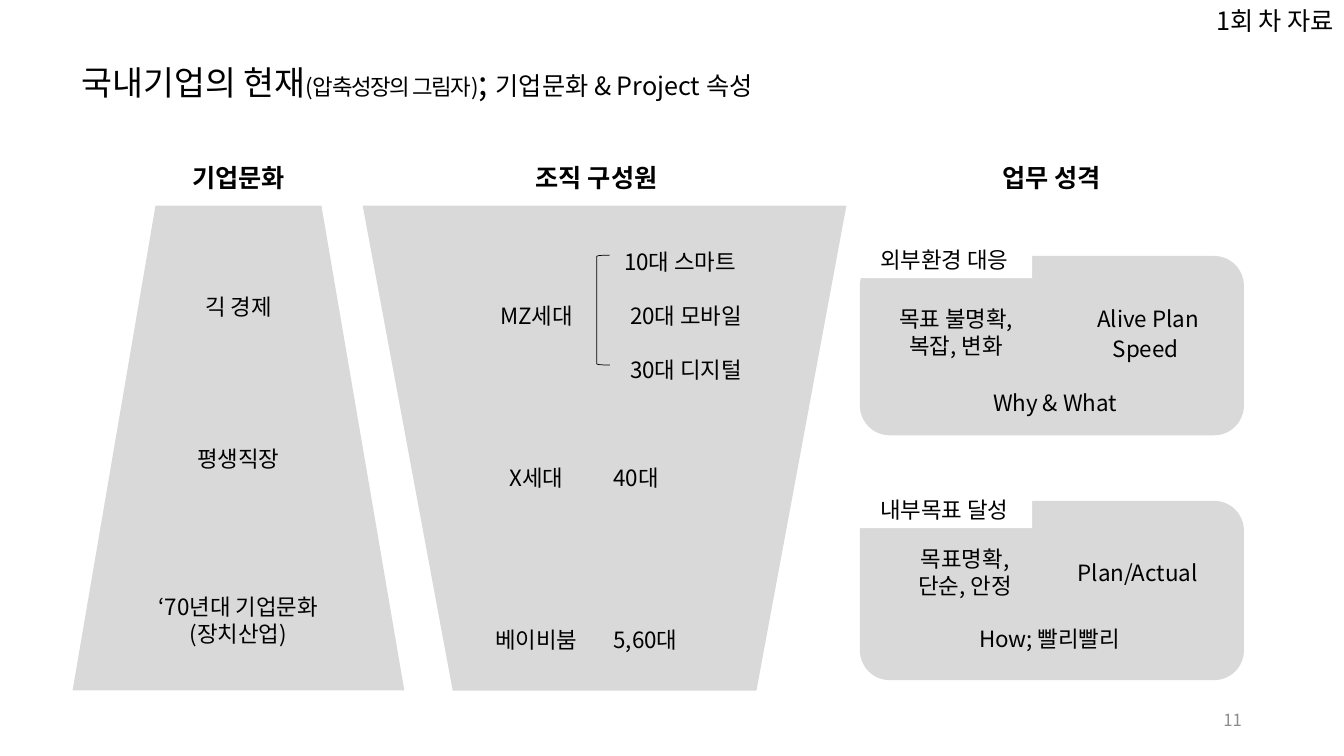
from lxml.etree import SubElement
from pptx import Presentation
from pptx.dml.color import RGBColor
from pptx.enum.shapes import MSO_SHAPE
from pptx.enum.text import MSO_ANCHOR, MSO_AUTO_SIZE, PP_ALIGN
from pptx.oxml.ns import qn
from pptx.util import Cm, Pt

FONT = "Noto Sans CJK KR"
BLACK = RGBColor(0x00, 0x00, 0x00)
WHITE = RGBColor(0xFF, 0xFF, 0xFF)
PANEL = RGBColor(0xD9, 0xD9, 0xD9)
NUMBER = RGBColor(0x8C, 0x8C, 0x8C)
LINE_H = 0.94
ROW_H = 1.36


def add_run(p, text, size=16, color=BLACK, bold=False, spacing=0):
    """Add one run in the slide font for Latin and Korean text."""
    r = p.add_run()
    r.text = text
    r.font.name, r.font.size, r.font.bold = FONT, Pt(size), bold
    r.font.color.rgb = color
    rPr = r.font._element
    SubElement(rPr, qn("a:ea")).set("typeface", FONT)
    if spacing:
        rPr.set("spc", str(spacing * 100))


def add_label(s, lines, x, y, w, align=PP_ALIGN.CENTER, **style):
    """Add a text box with one paragraph for each line."""
    tf = s.shapes.add_textbox(Cm(x), Cm(y), Cm(w), Cm(LINE_H * len(lines))).text_frame
    tf.word_wrap = True
    for i, text in enumerate(lines):
        p = tf.paragraphs[0] if i == 0 else tf.add_paragraph()
        p.alignment = align
        add_run(p, text, **style)


def add_block(s, kind, x, y, w, h, fill=PANEL):
    """Add a flat filled shape without outline."""
    sp = s.shapes.add_shape(kind, Cm(x), Cm(y), Cm(w), Cm(h))
    sp.shadow.inherit = False
    sp.fill.solid()
    sp.fill.fore_color.rgb = fill
    sp.line.fill.background()
    return sp


def add_heading(s, text, center):
    """Add a bold column heading centred on the given position."""
    add_label(s, [text], center - 2.5, 3.96, 5, size=18, bold=True)


def add_title(s, x, y, w, h):
    """Fill the title placeholder with its mixed-size heading."""
    title = s.shapes.title
    title.left, title.top, title.width, title.height = Cm(x), Cm(y), Cm(w), Cm(h)
    tf = title.text_frame
    tf.auto_size, tf.word_wrap = MSO_AUTO_SIZE.NONE, False
    tf.vertical_anchor = MSO_ANCHOR.TOP
    p = tf.paragraphs[0]
    p.alignment = PP_ALIGN.LEFT
    add_run(p, "국내기업의 현재", 24)
    add_run(p, "(압축성장의 그림자)", 16, spacing=-1)
    add_run(p, "; ", 24)
    add_run(p, "기업문화 & Project 속성", 18)


def add_culture(s, x, y, w, h):
    """Draw the company culture column."""
    add_heading(s, "기업문화", x + w / 2)
    add_block(s, MSO_SHAPE.TRAPEZOID, x, y, w, h)
    for lines, dy in (
        (["긱 경제"], 2.08),
        (["평생직장"], 5.92),
        (["‘70년대 기업문화", "(장치산업)"], 9.65),
    ):
        add_label(s, lines, x + 0.8, y + dy, w - 1.6)


def add_members(s, x, y, w, h):
    """Draw the generations column on an inverted trapezoid."""
    add_heading(s, "조직 구성원", x + w / 2 - 0.2)
    funnel = add_block(s, MSO_SHAPE.TRAPEZOID, x, y, w, h)
    funnel.adjustments[0] = 0.186
    funnel.rotation = 180
    center, left = PP_ALIGN.CENTER, PP_ALIGN.LEFT
    for text, row, dx, align in (
        ("10대 스마트", 0, 5.55, center),
        ("20대 모바일", 1, 5.7, center),
        ("30대 디지털", 2, 5.7, center),
        ("MZ세대", 1, 1.93, center),
        ("X세대", 4, 1.93, center),
        ("베이비붐", 7, 1.93, center),
        ("40대", 4, 6.07, left),
        ("5,60대", 7, 6.07, left),
    ):
        add_label(s, [text], x + dx, y + 0.95 + row * ROW_H, 4.9, align)
    bracket = s.shapes.add_shape(
        MSO_SHAPE.LEFT_BRACKET, Cm(x + 5.9), Cm(y + 1.25), Cm(0.33), Cm(2.77))
    bracket.shadow.inherit = False
    bracket.fill.background()
    bracket.line.color.rgb = BLACK
    bracket.line.width = Pt(0.5)


def add_work_panel(s, x, y, w, h, tab_text, tab_dy, labels):
    """Draw one rounded work panel with its white tab and labels."""
    add_block(s, MSO_SHAPE.ROUNDED_RECTANGLE, x, y, w, h)
    for lines, dx, dy, width in labels:
        add_label(s, lines, x + dx, y + dy, width)
    tab = add_block(s, MSO_SHAPE.RECTANGLE, x - 0.08, y + tab_dy, 4.42, LINE_H, WHITE)
    tf = tab.text_frame
    tf.vertical_anchor = MSO_ANCHOR.TOP
    p = tf.paragraphs[0]
    p.alignment = PP_ALIGN.CENTER
    add_run(p, tab_text)


def add_work(s, x, y, w, h):
    """Draw the work column with its two panels."""
    add_heading(s, "업무 성격", x + w / 2)
    panel_h = 4.52
    add_work_panel(s, x, y, w, panel_h, "외부환경 대응", -0.38, (
        (["목표 불명확, ", "복잡, 변화 "], -0.38, 1.12, 5.74),
        (["Alive Plan"], 5.21, 1.12, 4.11),
        (["Speed "], 5.21, 1.88, 4.11),
        (["Why & What"], 2.24, 3.23, 5.36),
    ))
    add_work_panel(s, x, y + h - panel_h, w, panel_h, "내부목표 달성", -0.25, (
        (["목표명확, ", "단순, 안정 "], 0.66, 0.99, 4.11),
        (["Plan/Actual"], 4.7, 1.35, 4.6),
        (["How; 빨리빨리"], 2.57, 3, 4.42),
    ))


def main():
    """Build and save the slide."""
    prs = Presentation()
    prs.slide_width, prs.slide_height = Cm(33.87), Cm(19.05)
    s = prs.slides.add_slide(prs.slide_layouts[5])
    add_title(s, 1.8, 1.42, 19.05, 1.27)
    add_culture(s, 1.83, 5.18, 8.36, 12.22)
    add_members(s, 9.14, 5.18, 12.19, 12.22)
    add_work(s, 21.67, 6.45, 9.68, 10.69)
    add_label(s, ["1회 차 자료"], 28.87, 0, 5, PP_ALIGN.RIGHT, size=18)
    add_label(s, ["11"], 23.93, 17.75, 7.62, PP_ALIGN.RIGHT, size=12, color=NUMBER)
    prs.save("out.pptx")


if __name__ == "__main__":
    main()
